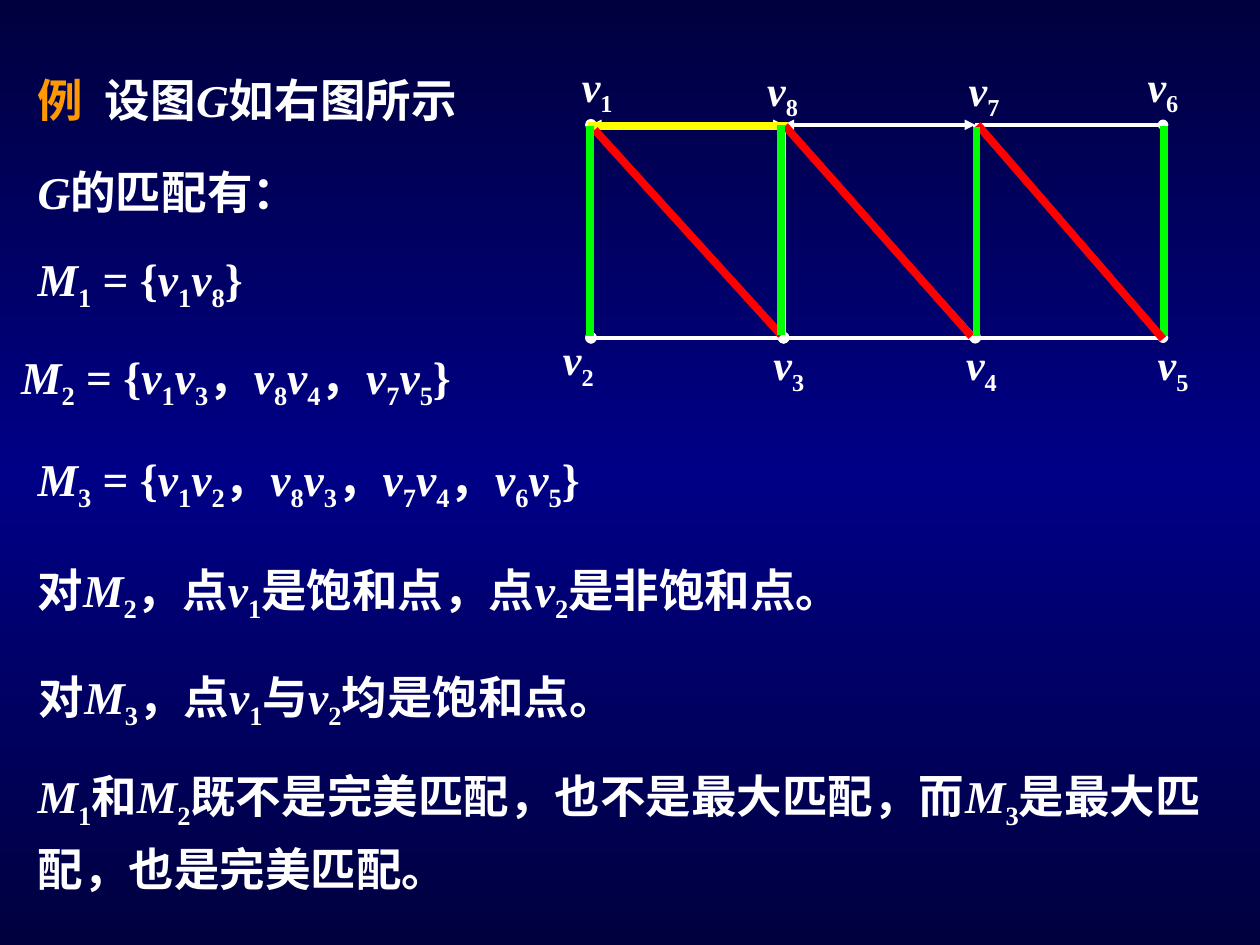
from copy import deepcopy
from itertools import groupby

from lxml import etree
from pptx import Presentation
from pptx.dml.color import RGBColor
from pptx.enum import lang, shapes, text
from pptx.oxml import ns
from pptx.util import Pt

COLORS = {
    "white": "FFFFFF", "orange": "FF9900", "yellow": "FFFF00",
    "red": "FF0000", "green": "00FF00", "edge": "00003E", "middle": "000086",
}
LATIN, CHINESE = "Times New Roman", "Noto Sans CJK SC"
TOP, BOTTOM = 71.3, 193
COLUMNS = (337.7, 447.8, 557.3, 664.6)

# Vertices: the upper row is v1 v8 v7 v6, the lower row v2 v3 v4 v5
VERTICES = {name: (x, y)
            for names, y in (("1876", TOP), ("2345", BOTTOM))
            for name, x in zip(names, COLUMNS)}

# Edges: end vertices, width, end mark
EDGES = [
    ("23", 2.25, "oval"), ("18", 2, "triangle"), ("21", 2.25, "oval"),
    ("13", 2.25, None), ("83", 2.25, None), ("34", 2.25, "oval"),
    ("87", 2, "triangle"), ("84", 2.25, None), ("74", 2.25, None),
    ("65", 2, "oval"), ("76", 2.25, None), ("45", 2.25, None),
    ("57", 2.25, None),
]

# Left and top of each vertex label
LABELS = {
    "1": (325.4, 31), "2": (314.6, 187.2), "3": (434.9, 190), "4": (545, 190),
    "8": (431.3, 33.1), "5": (654.5, 190), "7": (546.5, 33.1), "6": (648.7, 31),
}

# Matching lines: colour, start, end
MATCHINGS = [
    ("yellow", (336.2, 72), (450, 72)),
    ("red", (339.8, 74.2), (446.4, 191.5)),
    ("red", (448.6, 72), (555.1, 192.2)),
    ("green", (337, 72), (337, 192.2)),
    ("green", (665.3, 72), (665.3, 192.2)),
    ("green", (446.4, 71.3), (446.4, 191.5)),
    ("red", (558.7, 71.3), (664.6, 193.7)),
    ("green", (558, 72.7), (558, 192.2)),
]

# Statements: wording, left, top, width, height, wrap
STATEMENTS = [
    ("G的匹配有：", 14.4, 90, 204, 39, True),
    ("M1 = {v1v8}", 14.4, 139.7, 193, 43, True),
    ("M2 = {v1v3，v8v4，v7v5}", 5, 195.8, 285, 43, False),
    ("M3 = {v1v2，v8v3，v7v4，v6v5}", 14.4, 254.2, 432, 43, True),
    ("对M2，点v1是饱和点，点v2是非饱和点。", 14.4, 317.5, 577.4, 43, True),
    ("对M3，点v1与v2均是饱和点。", 15.1, 378.7, 577.4, 43, True),
]
CONCLUSION = "M1和M2既不是完美匹配，也不是最大匹配，而M3是最大匹配，也是完美匹配。"


def rgb(name):
    return RGBColor.from_string(COLORS[name])


def paint_background(page):
    fill = page.background.fill
    fill.gradient()
    fill.gradient_angle = 90
    first = page.element.find(".//" + ns.qn("a:gs"))
    first.addnext(deepcopy(first))
    stops = zip(fill.gradient_stops, (0, 0.5, 1), ("edge", "middle", "edge"))
    for stop, position, color in stops:
        stop.position = position
        stop.color.rgb = rgb(color)


def add_line(parent, start, end, color, width, mark=None):
    line = parent.shapes.add_connector(
        shapes.MSO_CONNECTOR.STRAIGHT, *(Pt(value) for value in start + end))
    line.line.color.rgb = rgb(color)
    line.line.width = Pt(width)
    properties = line.element.spPr
    if mark:
        outline = properties.find(ns.qn("a:ln"))
        for tag in ("a:headEnd", "a:tailEnd"):
            etree.SubElement(outline, ns.qn(tag), type=mark)
    etree.SubElement(properties, ns.qn("a:effectLst"))


def add_box(parent, left, top, width, height, wrap=True):
    box = parent.shapes.add_textbox(Pt(left), Pt(top), Pt(width), Pt(height))
    box.text_frame.word_wrap = wrap
    box.text_frame.auto_size = text.MSO_AUTO_SIZE.SHAPE_TO_FIT_TEXT
    return box.text_frame.paragraphs[0]


def add_span(para, wording, size, color="white", kind="plain"):
    span = para.add_run()
    span.text = wording
    font = span.font
    font.size, font.bold, font.italic = Pt(size), True, kind == "symbol"
    font.name = LATIN
    font.color.rgb = rgb(color)
    font.language_id = lang.MSO_LANGUAGE_ID.SIMPLIFIED_CHINESE
    properties = span._r.get_or_add_rPr()
    if kind == "index":
        properties.set("baseline", "-25000")
    latin = properties.find(ns.qn("a:latin"))
    latin.addnext(latin.makeelement(ns.qn("a:ea"), typeface=CHINESE))


def kind_of(character):
    if character in "GMv":
        return "symbol"
    return "index" if character.isdigit() else "plain"


def add_math(para, wording, size=26):
    """Letters become italic symbols and digits become subscripts."""
    for kind, characters in groupby(wording, kind_of):
        add_span(para, "".join(characters), size, kind=kind)


def add_graph(page):
    group = page.shapes.add_group_shape()
    for (start, end), width, mark in EDGES:
        add_line(group, VERTICES[start], VERTICES[end], "white", width, mark)
    for name, (left, top) in LABELS.items():
        add_math(add_box(group, left, top, 45.4, 40.3), "v" + name, 24)


def add_heading(page):
    para = add_box(page, 14.4, 37.4, 300, 39)
    tabs = etree.SubElement(para._p.get_or_add_pPr(), ns.qn("a:tabLst"))
    etree.SubElement(tabs, ns.qn("a:tab"), pos=str(Pt(38.5)), algn="l")
    add_span(para, "例\t", 26, "orange")
    add_math(para, "设图G如右图所示")


def main():
    deck = Presentation()
    deck.slide_width, deck.slide_height = Pt(720), Pt(540)
    page = deck.slides.add_slide(deck.slide_layouts[6])
    paint_background(page)

    # Graph with its vertex labels
    add_graph(page)

    # Statements
    add_heading(page)
    for wording, *place in STATEMENTS:
        add_math(add_box(page, *place), wording)
    para = add_box(page, 14.4, 428.4, 692, 87)
    para.line_spacing = 1.2
    add_math(para, CONCLUSION)

    # Highlighted matchings
    for color, start, end in MATCHINGS:
        add_line(page, start, end, color, 4.5)

    deck.save("out.pptx")


if __name__ == "__main__":
    main()
